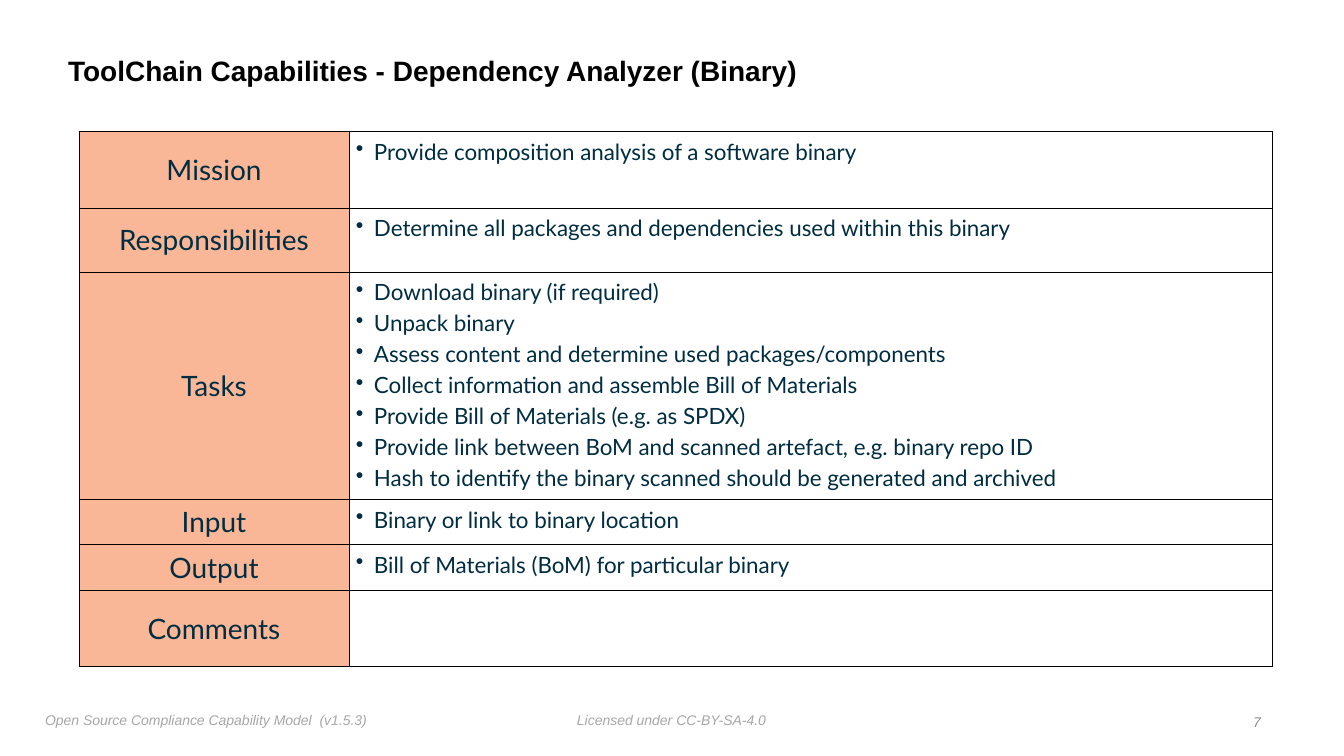
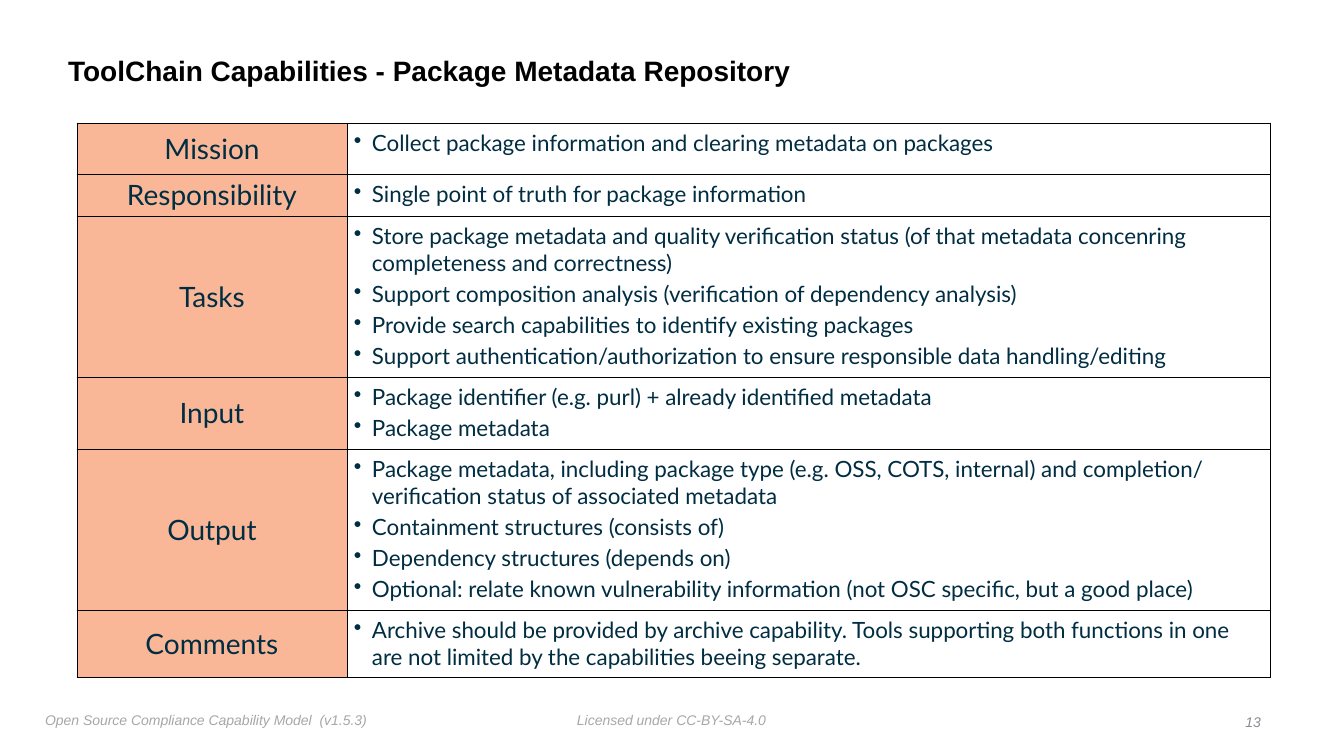
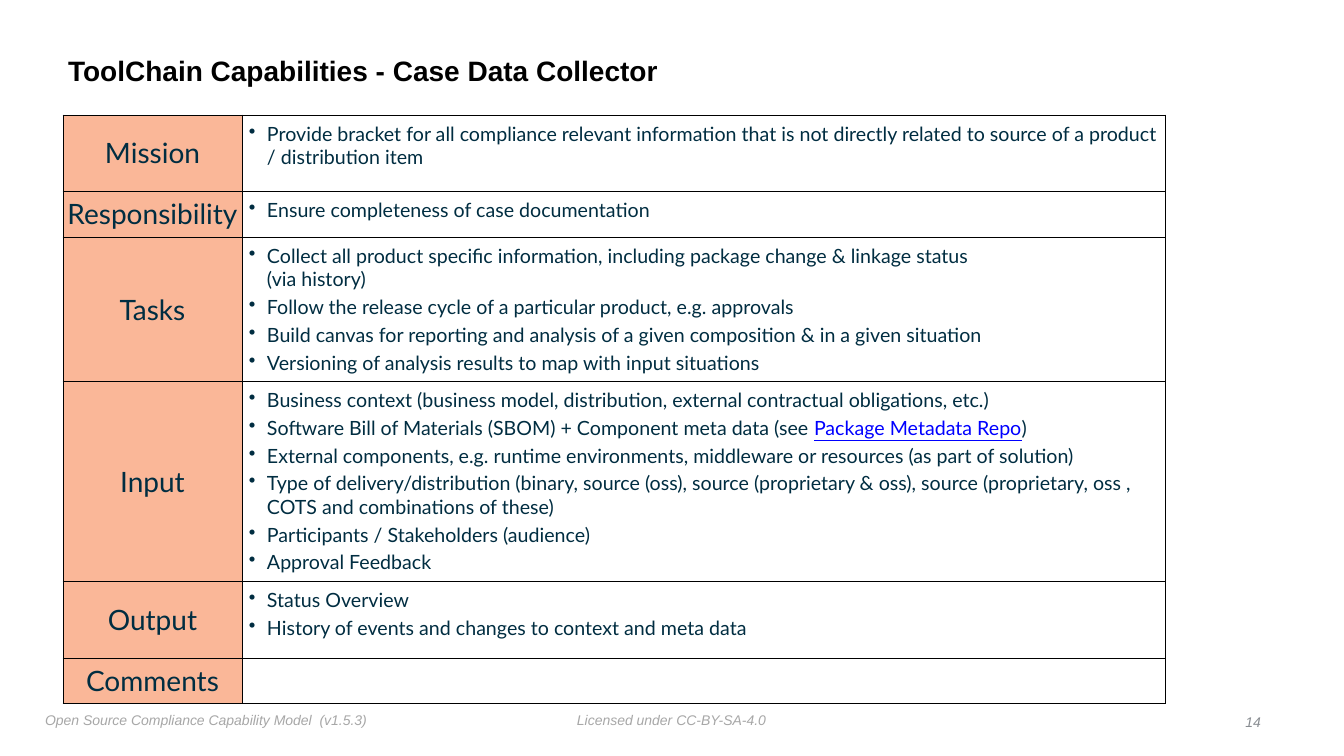
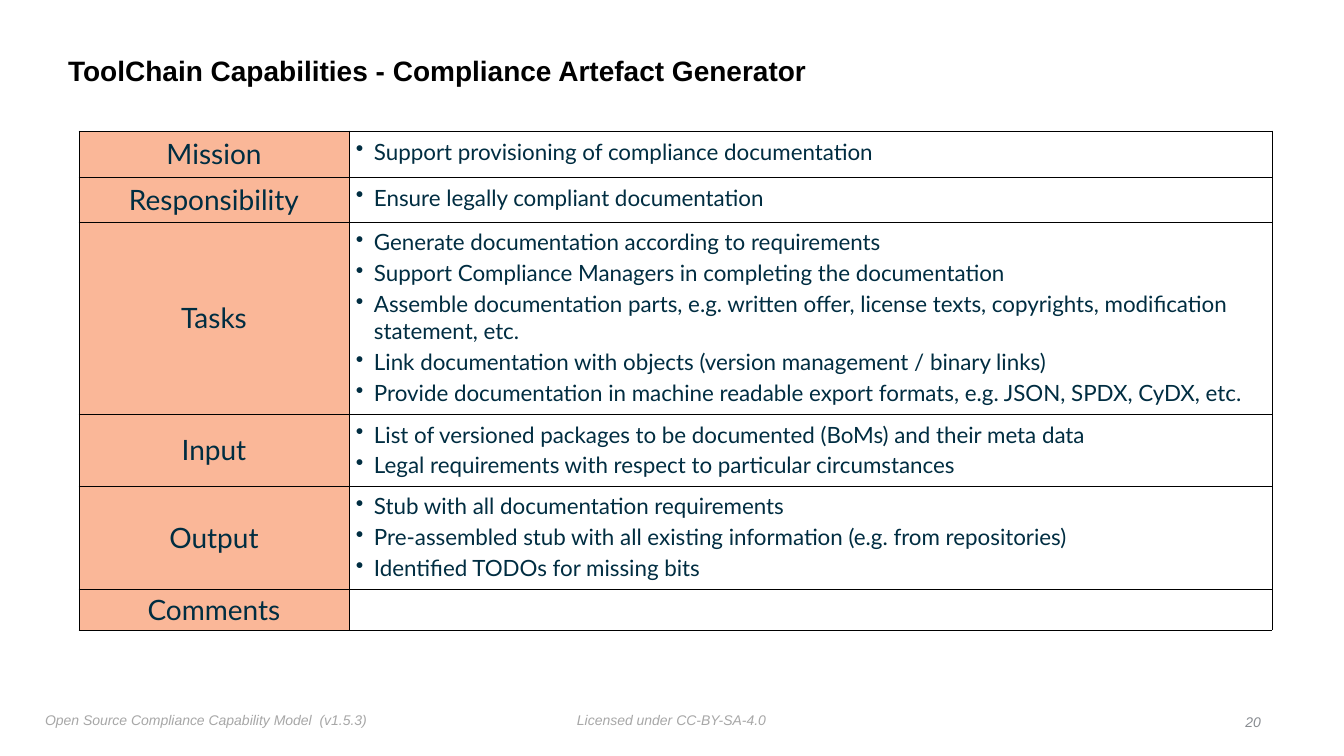
"""Builds four capability sheets, each a title over a two-column table."""
from dataclasses import dataclass

from lxml import etree
from pptx import Presentation
from pptx.dml.color import RGBColor
from pptx.enum.text import MSO_ANCHOR, PP_ALIGN
from pptx.oxml.ns import qn
from pptx.util import Pt

LEFT, CENTER, RIGHT = PP_ALIGN.LEFT, PP_ALIGN.CENTER, PP_ALIGN.RIGHT
TOP, MIDDLE = MSO_ANCHOR.TOP, MSO_ANCHOR.MIDDLE
EMU_PER_PX = 914400 / 100.8
TITLE_ONLY = 5


@dataclass(frozen=True)
class Theme:
    heading_font: str = "Arial"
    table_font: str = "Lato"
    title: str = "000000"
    ink: str = "002D41"
    link: str = "0000FF"
    label_fill: str = "FAB798"
    border: str = "000000"
    footer: str = "A7A7A7"
    number: str = "888C91"
    title_size: int = 20
    label_size: int = 20
    footer_size: int = 10
    bullet_gap: int = 3
    border_width: float = 0.5


THEME = Theme()
SLIDE_SIZE = (1344, 756)
TITLE_BOX = (63, 39, 1084, 66)
NUMBER_BOX = (1239, 709, 27, 25)
FOOTERS = [
    ("Licensed under CC-BY-SA-4.0", (572, 707, 201, 25)),
    ("Open Source Compliance Capability Model  (v1.5.3)", (40, 707, 335, 27)),
]
TITLE_PREFIX = "ToolChain Capabilities - "
TEXT_COLUMN = 923
BOX_INSET, CELL_INSET, BULLET_INDENT = 5, 7, 18

SHEETS = [
    {"number": 7, "title": "Dependency Analyzer (Binary)",
     "origin": (79, 131), "label_column": 270, "size": 16,
     "rows": [
         ("Mission", 77, ["Provide composition analysis of a software binary"]),
         ("Responsibilities", 64, ["Determine all packages and dependencies used within this binary"]),
         ("Tasks", 226, [
             "Download binary (if required)",
             "Unpack binary",
             "Assess content and determine used packages/components",
             "Collect information and assemble Bill of Materials",
             "Provide Bill of Materials (e.g. as SPDX)",
             "Provide link between BoM and scanned artefact, e.g. binary repo ID",
             "Hash to identify the binary scanned should be generated and archived"]),
         ("Input", 45, ["Binary or link to binary location"]),
         ("Output", 46, ["Bill of Materials (BoM) for particular binary"]),
         ("Comments", 76, [])]},
    {"number": 13, "title": "Package Metadata Repository",
     "origin": (77, 123), "label_column": 270, "size": 16,
     "rows": [
         ("Mission", 51, ["Collect package information and clearing metadata on packages"]),
         ("Responsibility", 42, ["Single point of truth for package information"]),
         ("Tasks", 161, [
             "Store package metadata and quality verification status (of that metadata "
             "concenring completeness and correctness)",
             "Support composition analysis (verification of dependency analysis)",
             "Provide search capabilities to identify existing packages",
             "Support authentication/authorization to ensure responsible data handling/editing"]),
         ("Input", 72, [
             "Package identifier (e.g. purl) + already identified metadata",
             "Package metadata"]),
         ("Output", 160, [
             "Package metadata, including package type (e.g. OSS, COTS, internal) and completion/ "
             "verification status of associated metadata",
             "Containment structures (consists of)",
             "Dependency structures (depends on)",
             "Optional: relate known vulnerability information (not OSC specific, but a good place)"]),
         ("Comments", 67, [
             "Archive should be provided by archive capability. Tools supporting both functions "
             "in one are not limited by the capabilities beeing separate."])]},
    {"number": 14, "title": "Case Data Collector",
     "origin": (63, 115), "label_column": 179, "size": 14,
     "rows": [
         ("Mission", 76, [
             "Provide bracket for all compliance relevant information that is not directly "
             "related to source of a product / distribution item"]),
         ("Responsibility", 46, ["Ensure completeness of case documentation"]),
         ("Tasks", 144, [
             "Collect all product specific information, including package change & linkage status "
             "\n(via history)",
             "Follow the release cycle of a particular product, e.g. approvals",
             "Build canvas for reporting and analysis of a given composition & in a given situation",
             "Versioning of analysis results to map with input situations"]),
         ("Input", 200, [
             "Business context (business model, distribution, external contractual obligations, etc.)",
             ("Software Bill of Materials (SBOM) + Component meta data (see ",
              "Package Metadata Repo", ")"),
             "External components, e.g. runtime environments, middleware or resources (as part of solution)",
             "Type of delivery/distribution (binary, source (oss), source (proprietary & oss), "
             "source (proprietary, oss , COTS and combinations of these)",
             "Participants / Stakeholders (audience)",
             "Approval Feedback"]),
         ("Output", 77, [
             "Status Overview",
             "History of events and changes to context and meta data"]),
         ("Comments", 45, [])]},
    {"number": 20, "title": "Compliance Artefact Generator",
     "origin": (79, 131), "label_column": 270, "size": 16,
     "rows": [
         ("Mission", 46, ["Support provisioning of compliance documentation"]),
         ("Responsibility", 45, ["Ensure legally compliant documentation"]),
         ("Tasks", 192, [
             "Generate documentation according to requirements",
             "Support Compliance Managers in completing the documentation",
             "Assemble documentation parts, e.g. written offer, license texts, copyrights, "
             "modification statement, etc.",
             "Link documentation with objects (version management / binary links)",
             "Provide documentation in machine readable export formats, e.g. JSON, SPDX, CyDX, etc."]),
         ("Input", 71, [
             "List of versioned packages to be documented (BoMs) and their meta data",
             "Legal requirements with respect to particular circumstances"]),
         ("Output", 103, [
             "Stub with all documentation requirements",
             "Pre-assembled stub with all existing information (e.g. from repositories)",
             "Identified TODOs for missing bits"]),
         ("Comments", 41, [])]},
]


def px(length):
    """Turn a length in px into EMU."""
    return round(length * EMU_PER_PX)


def write(para, text, *, size, color, font=THEME.table_font, bold=False,
          italic=False, underline=False, align=LEFT):
    """Add text to a paragraph, breaking the line at each newline."""
    para.alignment = align
    for index, line in enumerate(text.split("\n")):
        if index:
            para.add_line_break()
        span = para.add_run()
        span.text = line
        span.font.name, span.font.size = font, Pt(size)
        span.font.bold, span.font.italic, span.font.underline = bold, italic, underline
        span.font.color.rgb = RGBColor.from_string(color)


def set_margins(target, inset):
    """Give a frame or a cell the same margin on all sides."""
    target.margin_left = target.margin_right = px(inset)
    target.margin_top = target.margin_bottom = px(inset)


def add_title(page, text):
    """Place and format the title placeholder."""
    title = page.shapes.title
    title.left, title.top, title.width, title.height = map(px, TITLE_BOX)
    frame = title.text_frame
    frame.vertical_anchor, frame.word_wrap = MIDDLE, True
    set_margins(frame, BOX_INSET)
    para = frame.paragraphs[0]
    para.line_spacing = 0.9
    write(para, text, size=THEME.title_size, color=THEME.title,
          font=THEME.heading_font, bold=True)


def add_footer(page, text, place, *, color=THEME.footer, align=LEFT, anchor=TOP):
    """Add one unwrapped small italic line."""
    frame = page.shapes.add_textbox(*map(px, place)).text_frame
    frame.word_wrap, frame.vertical_anchor = False, anchor
    set_margins(frame, BOX_INSET)
    write(frame.paragraphs[0], text, size=THEME.footer_size, color=color,
          font=THEME.heading_font, italic=True, align=align)


def add_borders(cell):
    """Draw a thin solid line on each side of a cell."""
    properties = cell._tc.get_or_add_tcPr()
    for side in ("a:lnL", "a:lnR", "a:lnT", "a:lnB"):
        line = etree.SubElement(properties, qn(side), w=str(Pt(THEME.border_width)))
        fill = etree.SubElement(line, qn("a:solidFill"))
        etree.SubElement(fill, qn("a:srgbClr"), val=THEME.border)


def fill_label(cell, text):
    """Write a row label on its coloured ground."""
    add_borders(cell)
    set_margins(cell, 0)
    cell.vertical_anchor = MIDDLE
    cell.fill.solid()
    cell.fill.fore_color.rgb = RGBColor.from_string(THEME.label_fill)
    write(cell.text_frame.paragraphs[0], text, size=THEME.label_size,
          color=THEME.ink, align=CENTER)


def fill_bullets(cell, bullets, size):
    """Write a bullet list; in a tuple every second span looks like a link."""
    add_borders(cell)
    set_margins(cell, CELL_INSET if bullets else 0)
    cell.fill.background()
    frame = cell.text_frame
    for index, bullet in enumerate(bullets):
        para = frame.add_paragraph() if index else frame.paragraphs[0]
        if index:
            para.space_before = Pt(THEME.bullet_gap)
        properties = para._p.get_or_add_pPr()
        properties.set("marL", str(px(BULLET_INDENT)))
        properties.set("indent", str(-px(BULLET_INDENT)))
        etree.SubElement(properties, qn("a:buChar"), char="•")
        spans = (bullet,) if isinstance(bullet, str) else bullet
        for position, text in enumerate(spans):
            linked = position % 2 == 1
            write(para, text, size=size, underline=linked,
                  color=THEME.link if linked else THEME.ink)


def add_sheet_table(page, sheet):
    """Add the table of labels and bullet lists."""
    rows = sheet["rows"]
    widths = (sheet["label_column"], TEXT_COLUMN)
    extent = (sum(widths), sum(height for _, height, _ in rows))
    table = page.shapes.add_table(
        len(rows), len(widths), *map(px, sheet["origin"] + extent)).table
    table.first_row = table.horz_banding = False
    for column, width in zip(table.columns, widths):
        column.width = px(width)
    for index, (label, height, bullets) in enumerate(rows):
        table.rows[index].height = px(height)
        fill_label(table.cell(index, 0), label)
        fill_bullets(table.cell(index, 1), bullets, sheet["size"])


def main():
    """Build and save the deck."""
    deck = Presentation()
    deck.slide_width, deck.slide_height = map(px, SLIDE_SIZE)
    for sheet in SHEETS:
        page = deck.slides.add_slide(deck.slide_layouts[TITLE_ONLY])
        for text, place in FOOTERS:
            add_footer(page, text, place)
        add_title(page, TITLE_PREFIX + sheet["title"])
        add_sheet_table(page, sheet)
        add_footer(page, str(sheet["number"]), NUMBER_BOX, color=THEME.number,
                   align=RIGHT, anchor=MIDDLE)
    deck.save("out.pptx")


if __name__ == "__main__":
    main()
